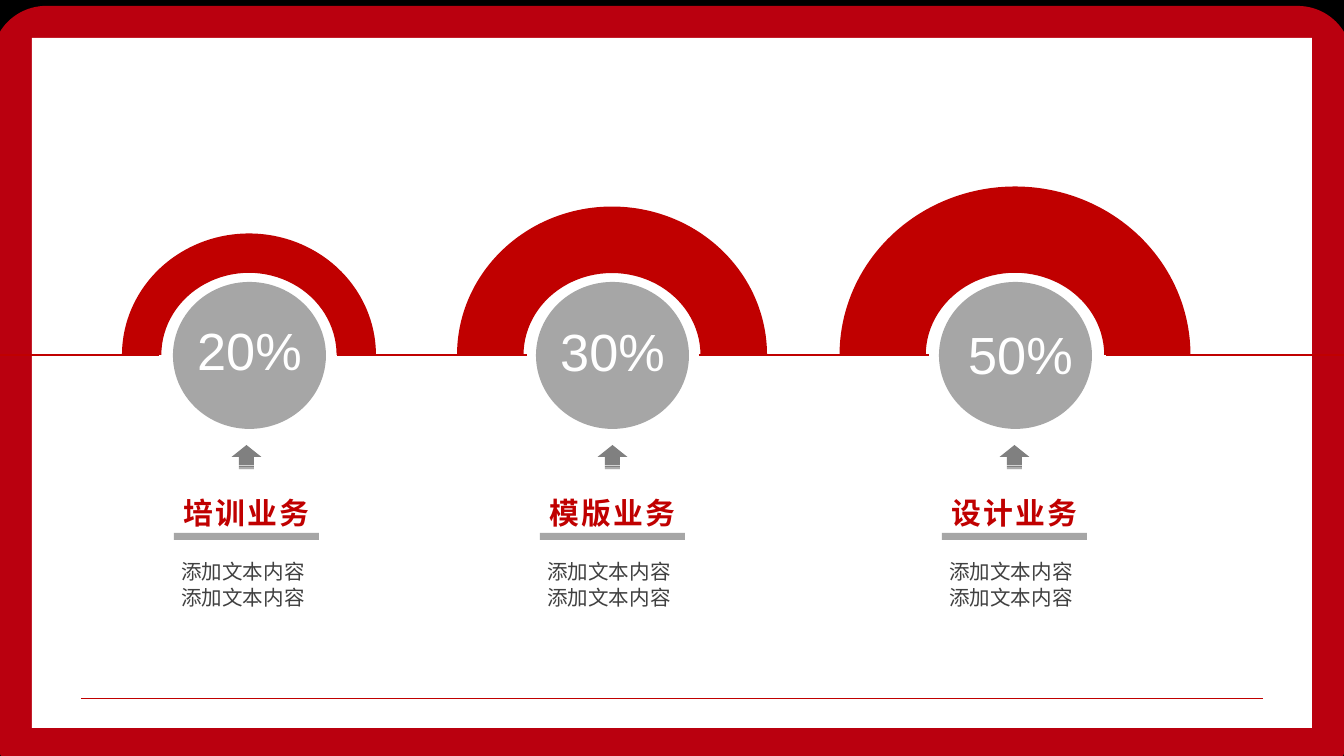
from lxml.etree import SubElement
from pptx import Presentation
from pptx.dml.color import RGBColor
from pptx.enum.shapes import MSO_CONNECTOR, MSO_SHAPE as SHAPE
from pptx.enum.text import MSO_AUTO_SIZE, PP_ALIGN as ALIGN
from pptx.oxml.ns import qn
from pptx.util import Emu, Pt

EMU_PER_PX = 914400 / 134.4
WIDTH, HEIGHT = 1344, 756
BASELINE = 355
RED, FRAME_RED, GRAY, ARROW_GRAY = "C00000", "BA000F", "A6A6A6", "808080"
LATIN, CHINESE = "Arial", "Noto Sans CJK SC"

# share, service, arc centre, arc width, arc height, arc thickness,
# share box shift (x, y), caption centre
SERVICES = [
    ("20%", "培训业务", 249, 254, 243, 0.162, (0, 0), 246),
    ("30%", "模版业务", 612, 310, 297, 0.224, (0, 1), 612),
    ("50%", "设计业务", 1015, 351, 337, 0.256, (5, 4), 1014),
]
DETAILS = ["添加文本内容", "添加文本内容"]


def px(length):
    return Emu(round(length * EMU_PER_PX))


def color(hex_code):
    return RGBColor.from_string(hex_code)


def add_solid(slide, kind, box, fill):
    solid = slide.shapes.add_shape(kind, *map(px, box))
    solid.shadow.inherit = False
    solid.fill.solid()
    solid.fill.fore_color.rgb = color(fill)
    solid.line.fill.background()
    return solid


def add_rule(slide, left, right, y, width):
    rule = slide.shapes.add_connector(
        MSO_CONNECTOR.STRAIGHT, px(left), px(y), px(right), px(y))
    rule.line.color.rgb = color(RED)
    rule.line.width = Pt(width)
    SubElement(rule._element.spPr, qn("a:effectLst"))


def add_text(slide, box, text, size, font, hex_code, bold=False,
             align=ALIGN.LEFT, wrap=False, line_spacing=None, tracking=None):
    frame = slide.shapes.add_textbox(*map(px, box)).text_frame
    frame.word_wrap = wrap
    frame.auto_size = MSO_AUTO_SIZE.SHAPE_TO_FIT_TEXT
    paragraph = frame.paragraphs[0]
    paragraph.text = text
    paragraph.alignment = align
    paragraph.line_spacing = line_spacing
    paragraph.font.size = Pt(size)
    paragraph.font.bold = bold
    paragraph.font.name = font
    paragraph.font.color.rgb = color(hex_code)
    defaults = paragraph._p.get_or_add_pPr().get_or_add_defRPr()
    SubElement(defaults, qn("a:ea"), typeface=font)
    if tracking:
        defaults.set("spc", str(round(tracking * 100)))


def add_frame(slide, left, top, width, height):
    """Red rounded border on black, with a white page and a footer rule."""
    add_solid(slide, SHAPE.RECTANGLE, (left, top, width, height), "000000")
    border = add_solid(slide, SHAPE.ROUNDED_RECTANGLE,
                       (left - 8, top + 6, width + 16, height + 18), FRAME_RED)
    border.adjustments[0] = 0.07
    add_solid(slide, SHAPE.RECTANGLE,
              (left + 32, top + 38, width - 64, height - 66), "FFFFFF")
    add_rule(slide, left + 81, left + width - 81, top + height - 58, 0.25)


def add_gauge(slide, left, top, width, height, thickness, share, shift):
    """Half ring around a disc that carries the share."""
    arc = add_solid(slide, SHAPE.BLOCK_ARC, (left, top, width, height), RED)
    arc.adjustments[2] = thickness
    center, middle = left + width / 2, top + height / 2
    add_solid(slide, SHAPE.OVAL, (center - 76, middle - 73, 153, 147), GRAY)
    dx, dy = shift
    add_text(slide, (center - 66 + dx, middle - 43 + dy, 133, 76),
             share, 28, LATIN, "FFFFFF", align=ALIGN.CENTER)


def add_caption(slide, left, top, width, service):
    """Arrow, underlined service name and detail lines."""
    center = left + width / 2
    arrow = add_solid(slide, SHAPE.STRIPED_RIGHT_ARROW,
                      (center - 12, top - 2, 24, 30), ARROW_GRAY)
    arrow.rotation = 270
    add_text(slide, (left, top + 44, width, 50), service, 16, CHINESE, RED,
             bold=True, align=ALIGN.CENTER, tracking=1.2)
    add_solid(slide, SHAPE.RECTANGLE,
              (left + 6, top + 89, width - 12, 7), GRAY)
    for row, detail in enumerate(DETAILS):
        add_text(slide, (left, top + 96 + 26 * row, 222, 47), detail,
                 11, CHINESE, "404040", wrap=True, line_spacing=1.5)


def main():
    deck = Presentation()
    deck.slide_width, deck.slide_height = px(WIDTH), px(HEIGHT)
    slide = deck.slides.add_slide(deck.slide_layouts[6])
    add_frame(slide, 0, 0, WIDTH, HEIGHT)
    for left, right in [(0, 159), (337, 527), (699, 929), (1106, WIDTH)]:
        add_rule(slide, left, right, BASELINE, 0.75)
    for share, service, center, width, height, thickness, shift, caption in SERVICES:
        add_gauge(slide, center - width / 2, BASELINE - height / 2,
                  width, height, thickness, share, shift)
        add_caption(slide, caption - 78, 444, 157, service)
    deck.save("out.pptx")


if __name__ == "__main__":
    main()
